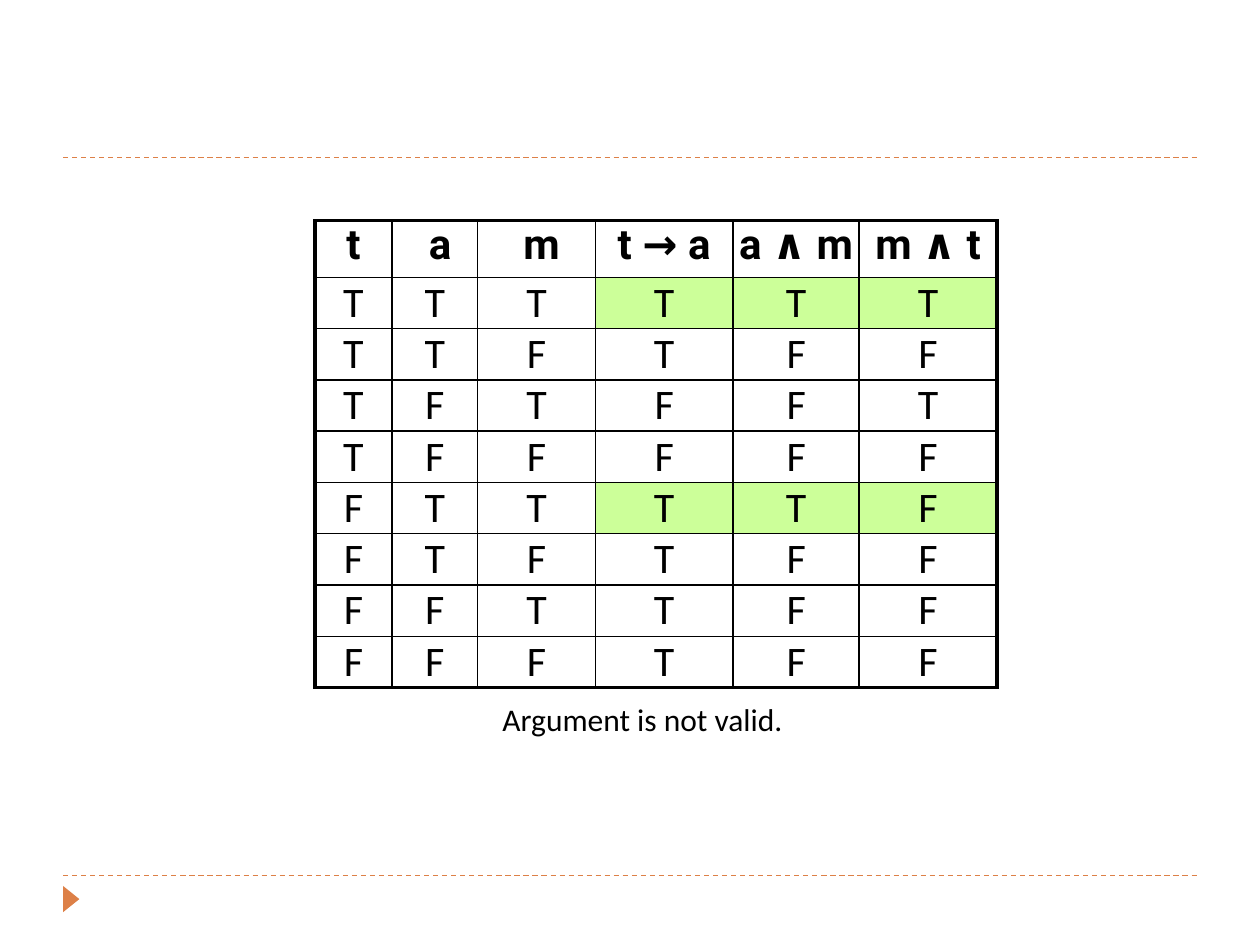
from itertools import product

from lxml.etree import SubElement
from pptx import Presentation
from pptx.dml.color import RGBColor
from pptx.enum.dml import MSO_LINE_DASH_STYLE as Dash
from pptx.enum.shapes import MSO_CONNECTOR as Connector, MSO_SHAPE as Shape
from pptx.enum.text import PP_ALIGN as Align
from pptx.oxml import parse_xml
from pptx.oxml.ns import nsdecls, qn
from pptx.util import Cm, Pt

BLACK = RGBColor(0x00, 0x00, 0x00)
ORANGE = RGBColor(0xDD, 0x80, 0x47)
GREEN = RGBColor(0xCC, 0xFF, 0x99)

HEADINGS = ["t", " a", " m", "t → a", "a ∧ m", "m ∧ t"]
COLUMN_WIDTHS = [1.55, 1.73, 2.37, 2.78, 2.54, 2.78]
HEADING_HEIGHT, ROW_HEIGHT = 1.14, 1.03
THIN, THICK = 1, 2.25


def write_text(frame, text, font="Calibri", size=24, bold=False, align=Align.LEFT, after=0):
    """Put one formatted paragraph in a text frame."""
    para = frame.paragraphs[0]
    para.alignment = align
    para.space_after = Pt(after)
    span = para.add_run()
    span.text = text
    span.font.name = font
    span.font.size = Pt(size)
    span.font.bold = bold
    span.font.color.rgb = BLACK


def add_rule(page, top):
    """Draw a dashed line across the page."""
    rule = page.shapes.add_connector(Connector.STRAIGHT, Cm(1.27), Cm(top), Cm(24.13), Cm(top))
    rule.line.color.rgb = ORANGE
    rule.line.width = Pt(0.75)
    rule.line.dash_style = Dash.DASH
    SubElement(rule._element.spPr, qn("a:effectLst"))


def add_marker(page):
    """Draw the triangle that points right in the footer."""
    marker = page.shapes.add_shape(Shape.ISOSCELES_TRIANGLE, Cm(1.17), Cm(17.96), Cm(0.53), Cm(0.33))
    marker.rotation = 90
    marker.shadow.inherit = False
    marker.fill.solid()
    marker.fill.fore_color.rgb = ORANGE
    marker.line.fill.background()


def set_borders(cell, **widths):
    """Give a cell black borders with a width in points for each side."""
    properties = cell._tc.get_or_add_tcPr()
    for index, side in enumerate("LRTB"):
        properties.insert(index, parse_xml(
            f'<a:ln{side} {nsdecls("a")} w="{Pt(widths[side])}"><a:solidFill>'
            f'<a:srgbClr val="{BLACK}"/></a:solidFill></a:ln{side}>'))


def format_cell(cell, fill=None):
    """Remove the margins of a cell and set its fill."""
    cell.margin_left = cell.margin_right = cell.margin_top = cell.margin_bottom = 0
    if fill is None:
        cell.fill.background()
    else:
        cell.fill.solid()
        cell.fill.fore_color.rgb = fill


def truth_rows():
    """Return the values of each row of the truth table."""
    return [(t, a, m, not t or a, a and m, m and t)
            for t, a, m in product([True, False], repeat=3)]


def add_truth_table(page):
    """Build the truth table and highlight rows where both premises hold."""
    rows = truth_rows()
    last_row, last_column = len(rows), len(HEADINGS) - 1
    height = HEADING_HEIGHT + ROW_HEIGHT * len(rows)
    table = page.shapes.add_table(len(rows) + 1, len(HEADINGS), Cm(6.35), Cm(4.45),
                                  Cm(sum(COLUMN_WIDTHS)), Cm(height)).table
    table.first_row = table.horz_banding = False
    for column, width in zip(table.columns, COLUMN_WIDTHS):
        column.width = Cm(width)
    for index, row in enumerate(table.rows):
        row.height = Cm(ROW_HEIGHT if index else HEADING_HEIGHT)

    for r, c in product(range(last_row + 1), range(last_column + 1)):
        cell = table.cell(r, c)
        if r == 0:
            format_cell(cell)
            write_text(cell.text_frame, HEADINGS[c], font="Roboto", bold=True, align=Align.CENTER)
        else:
            values = rows[r - 1]
            premises_hold = values[3] and values[4]
            format_cell(cell, fill=GREEN if premises_hold and c >= 3 else None)
            write_text(cell.text_frame, "T" if values[c] else "F", align=Align.CENTER, after=10)
        set_borders(cell,
                    L=THICK if c == 0 else THIN, R=THICK if c == last_column else THIN,
                    T=THICK if r == 0 else THIN, B=THICK if r == last_row else THIN)


def add_conclusion(page):
    """Write the verdict below the table."""
    box = page.shapes.add_textbox(Cm(9.73), Cm(14.12), Cm(14.4), Cm(0.9))
    frame = box.text_frame
    frame.word_wrap = True
    frame.margin_left = Cm(0.4)
    frame.margin_top = frame.margin_bottom = 0
    write_text(frame, "Argument is not valid.", size=18)


def main():
    """Build the slide and save it."""
    deck = Presentation()
    deck.slide_width, deck.slide_height = Cm(25.4), Cm(19.05)
    page = deck.slides.add_slide(deck.slide_layouts[6])
    for top in (17.65, 3.17):
        add_rule(page, top)
    add_marker(page)
    add_truth_table(page)
    add_conclusion(page)
    deck.save("out.pptx")


if __name__ == "__main__":
    main()
